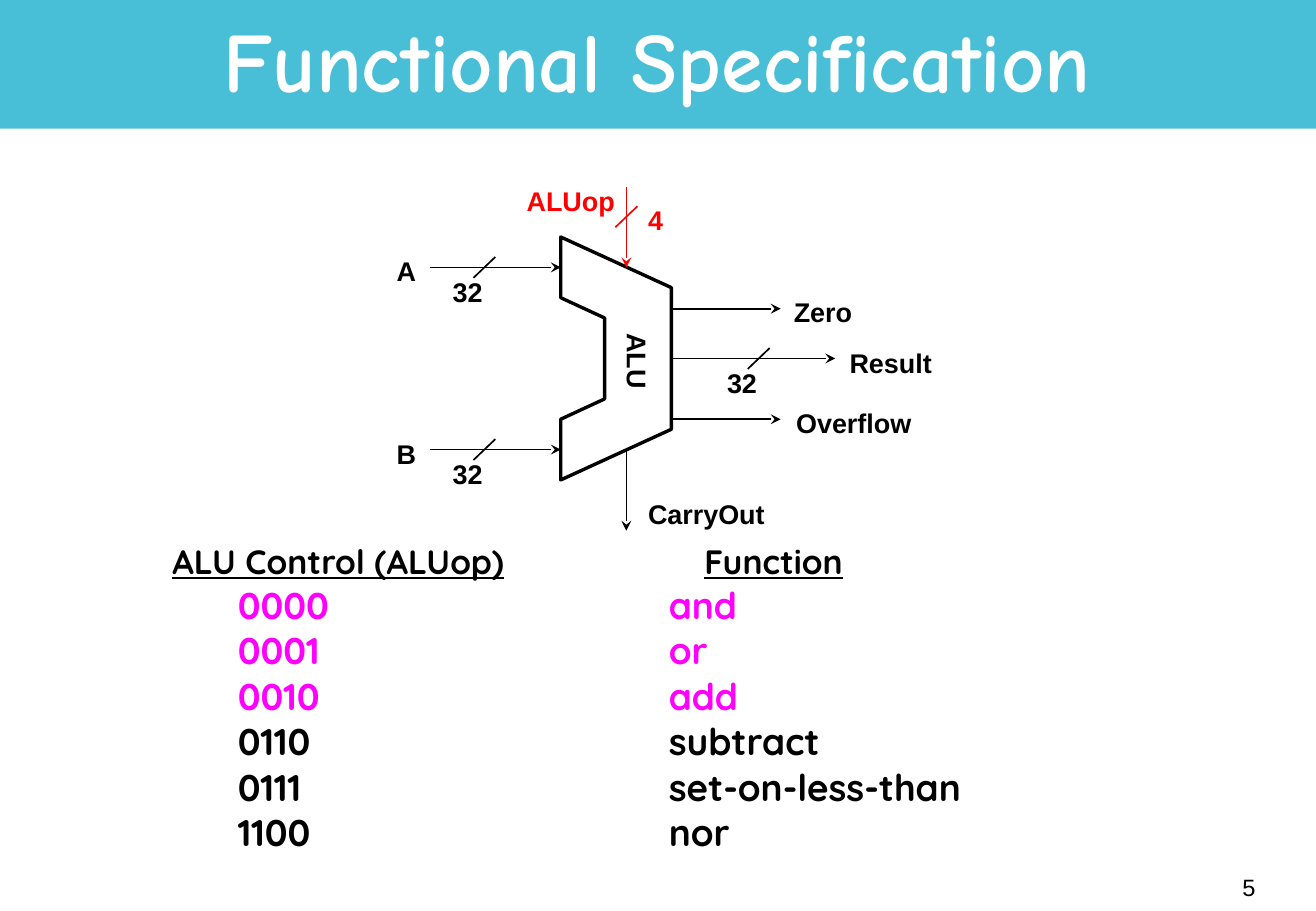
"""Build the ALU functional specification slide."""
from dataclasses import dataclass
from typing import Any

import pptx
import pptx.dml.color
import pptx.enum.shapes
import pptx.enum.text
import pptx.oxml
import pptx.oxml.ns
import pptx.util
from lxml import etree

Pt = pptx.util.Pt
ALIGN = pptx.enum.text.PP_ALIGN
ANCHOR = pptx.enum.text.MSO_ANCHOR
COLORS = {"band": "49BFD7", "black": "000000", "red": "FF0000",
          "magenta": "FF00FF", "white": "FFFFFF"}

LABEL_FONT = {"name": "Arial", "size": Pt(16), "bold": True}
TITLE_FONT = {"name": "Comic Neue", "size": Pt(50), "bold": True}
NUMBER_FONT = {"name": "Arial", "size": Pt(14)}
HEAD_FONT = {"name": "Quicksand", "size": Pt(20), "bold": True}
ROW_FONT = {"name": "Quicksand", "size": Pt(22), "bold": True}

LEFT, NOTCH, RIGHT, MIDDLE = 332.6, 358.6, 398.2, 212.5
CONTROL_X, A_Y, B_Y = 371.5, 158.5, 266.5
HALF_OUTLINE = [(NOTCH, 24), (LEFT, 36), (LEFT, 72), (RIGHT, 42)]


@dataclass
class Label:
    text: str
    x: float
    y: float
    w: float
    color: str = "black"
    rotation: int = 0


@dataclass
class Line:
    x1: float
    y1: float
    x2: float
    y2: float
    color: str = "black"
    arrow: bool = True


LABELS = [
    Label("A", 228.2, 147.6, 25.9),
    Label("B", 228.2, 255.6, 25.9),
    Label("32", 261.4, 159.8, 32.4),
    Label("32", 261.4, 267.8, 32.4),
    Label("32", 424.1, 213.8, 32.4),
    Label("Zero", 463.7, 171.4, 49),
    Label("Result", 496.8, 201.6, 63.4),
    Label("Overflow", 465.1, 237.6, 82.8),
    Label("CarryOut", 377.3, 291.6, 83.5),
    Label("ALUop", 305.3, 105.8, 67, "red"),
    Label("4", 377.3, 117.4, 23.8, "red"),
    Label("ALU", 354.2, 200.9, 47.5, rotation=90),
]
ARROWS = [
    Line(255, A_Y, LEFT, A_Y),
    Line(255, B_Y, LEFT, B_Y),
    Line(RIGHT, 183, 463, 183),
    Line(RIGHT, MIDDLE, 495.4, MIDDLE),
    Line(RIGHT, 248.5, 463, 248.5),
    Line(CONTROL_X, 111, CONTROL_X, A_Y, "red"),
    Line(CONTROL_X, B_Y, CONTROL_X, 314.6),
]
SLASHES = [Line(x - 6.5, y + 6.2, x + 6.5, y - 6.2, color, False)
           for x, y, color in [(287.3, A_Y, "black"), (287.3, B_Y, "black"),
                               (450, MIDDLE, "black"), (CONTROL_X, 128.5, "red")]]
FUNCTIONS = [("0000", "and", "magenta"), ("0001", "or", "magenta"),
             ("0010", "add", "magenta"), ("0110", "subtract", "black"),
             ("0111", "set-on-less-than", "black"), ("1100", "nor", "black")]


def rgb(color: str) -> Any:
    """Return the named colour."""
    return pptx.dml.color.RGBColor.from_string(COLORS[color])


def set_all(obj: Any, values: dict[str, Any]) -> None:
    """Set each value as an attribute of the object."""
    for key, value in values.items():
        setattr(obj, key, value)


def add_run(p: Any, text: str, font: dict[str, Any], color: str = "black") -> None:
    """Add a formatted run to a paragraph."""
    r = p.add_run()
    r.text = text
    set_all(r.font, font)
    r.font.color.rgb = rgb(color)


def add_box(s: Any, x: float, y: float, w: float, h: float, **frame: Any) -> Any:
    """Add a text box with the given frame settings."""
    sp = s.shapes.add_textbox(Pt(x), Pt(y), Pt(w), Pt(h))
    set_all(sp.text_frame, {"word_wrap": True} | frame)
    return sp


def add_label(s: Any, label: Label) -> None:
    """Add a diagram label."""
    sp = add_box(s, label.x, label.y, label.w, 26.6, word_wrap=False,
                 auto_size=pptx.enum.text.MSO_AUTO_SIZE.SHAPE_TO_FIT_TEXT)
    sp.rotation = label.rotation
    add_run(sp.text_frame.paragraphs[0], label.text, LABEL_FONT, label.color)


def add_line(s: Any, line: Line) -> None:
    """Add a plain line or an arrow."""
    sp = s.shapes.add_connector(pptx.enum.shapes.MSO_CONNECTOR.STRAIGHT,
                                Pt(line.x1), Pt(line.y1), Pt(line.x2), Pt(line.y2))
    sp.line.width = Pt(1)
    sp.line.color.rgb = rgb(line.color)
    if line.arrow:
        etree.SubElement(sp.line._get_or_add_ln(), pptx.oxml.ns.qn("a:tailEnd"), type="stealth")
    etree.SubElement(sp._element.spPr, pptx.oxml.ns.qn("a:effectLst"))


def add_alu(s: Any) -> None:
    """Add the ALU outline, mirrored about its middle."""
    points = ([(x, MIDDLE - dy) for x, dy in HALF_OUTLINE]
              + [(x, MIDDLE + dy) for x, dy in reversed(HALF_OUTLINE)])
    (x0, y0), *rest = [(Pt(x), Pt(y)) for x, y in points]
    builder = s.shapes.build_freeform(x0, y0)
    builder.add_line_segments(rest, close=True)
    sp = builder.convert_to_shape()
    sp.shadow.inherit = False
    sp.fill.background()
    sp.line.width = Pt(2)
    sp.line.color.rgb = rgb("black")


def set_tabs(p: Any, stops: list[float]) -> None:
    """Give a paragraph left tab stops."""
    tabs = etree.SubElement(p._p.get_or_add_pPr(), pptx.oxml.ns.qn("a:tabLst"))
    for stop in stops:
        etree.SubElement(tabs, pptx.oxml.ns.qn("a:tab"), pos=str(Pt(stop)), algn="l")


def add_functions(s: Any) -> None:
    """Add the list of control codes and functions."""
    tf = add_box(s, 97.2, 321.1, 598.3, 218, margin_left=Pt(5), margin_right=Pt(5),
                 margin_top=Pt(2.2), margin_bottom=Pt(2.2)).text_frame
    p = tf.paragraphs[0]
    p.line_spacing = 0.9
    set_tabs(p, [315.5])
    for text, underline in [("ALU Control (ALUop)", True), ("\t", False), ("Function", True)]:
        add_run(p, text, HEAD_FONT | {"underline": underline})
    for code, function, color in FUNCTIONS:
        p = tf.add_paragraph()
        set_all(p, {"line_spacing": 0.9, "space_before": Pt(3.2)})
        set_tabs(p, [38.9, 294.5])
        add_run(p, f"\t{code}\t{function}", ROW_FONT, color)


def add_title(s: Any) -> None:
    """Fill the title placeholder and lay the band behind it."""
    title = s.shapes.title
    set_all(title, {"left": Pt(58.3), "top": Pt(3.6), "width": Pt(663.1), "height": Pt(71.3)})
    title.text_frame.vertical_anchor = ANCHOR.MIDDLE
    p = title.text_frame.paragraphs[0]
    set_all(p, {"alignment": ALIGN.CENTER, "line_spacing": 0.85})
    add_run(p, "Functional Specification", TITLE_FONT, "white")
    band = s.shapes.add_shape(pptx.enum.shapes.MSO_SHAPE.RECTANGLE, 0, 0, Pt(780.48), Pt(76.3))
    band.shadow.inherit = False
    band.fill.solid()
    band.fill.fore_color.rgb = rgb("band")
    band.line.fill.background()
    title._element.addprevious(band._element)


def main() -> None:
    """Build and save the slide."""
    prs = pptx.Presentation()
    set_all(prs, {"slide_width": Pt(780.48), "slide_height": Pt(540)})
    s = prs.slides.add_slide(prs.slide_layouts[5])
    add_title(s)
    add_functions(s)
    add_alu(s)
    for line in ARROWS + SLASHES:
        add_line(s, line)
    for label in LABELS:
        add_label(s, label)
    number = add_box(s, 589, 507.6, 162.7, 36, vertical_anchor=ANCHOR.MIDDLE)
    p = number.text_frame.paragraphs[0]
    p.alignment = ALIGN.RIGHT
    add_run(p, "5", NUMBER_FONT)
    prs.save("out.pptx")


if __name__ == "__main__":
    main()
